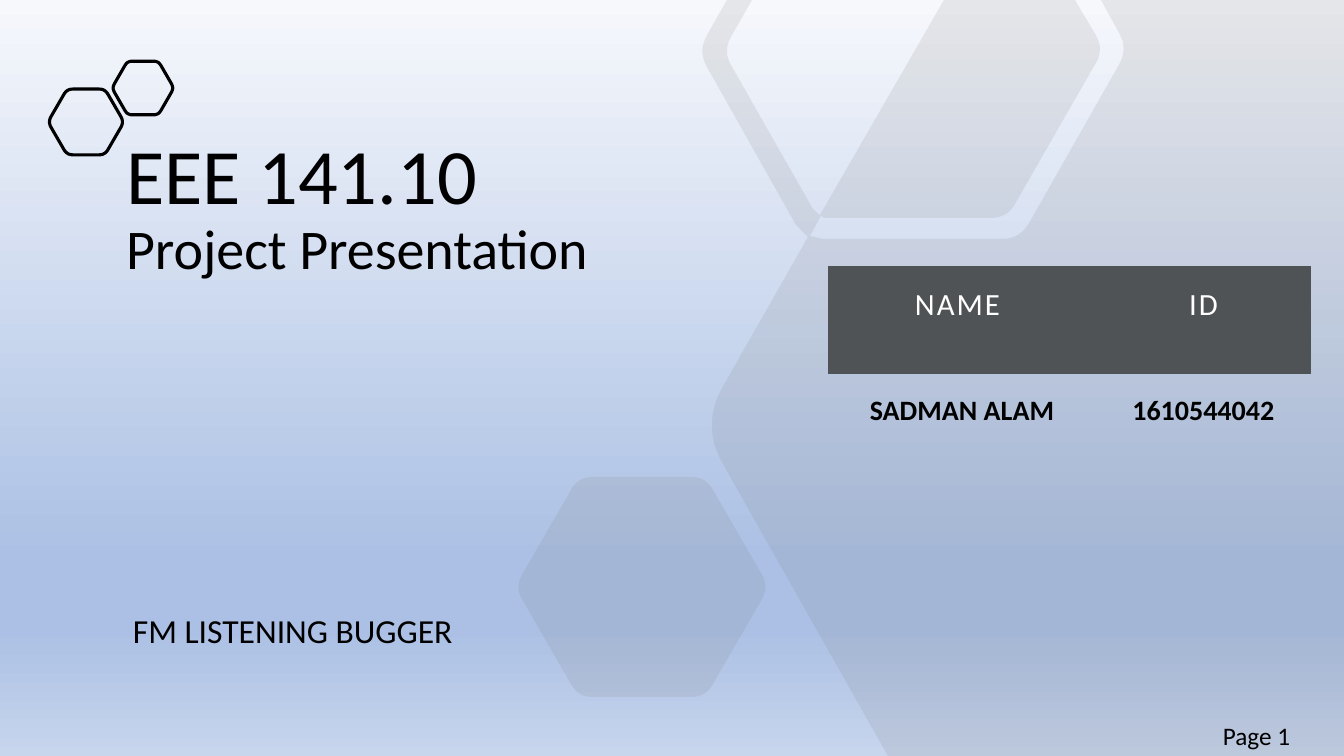
from dataclasses import dataclass
from math import cos, hypot, pi, sin

from lxml.etree import SubElement
from pptx import Presentation
from pptx.dml.color import RGBColor
from pptx.enum.text import MSO_ANCHOR, PP_ALIGN
from pptx.oxml.ns import qn
from pptx.util import Pt

EMU_PER_PX = 12192000 / 1344
SUBPIXELS = 10
PLAIN_TABLE = "{2D5ABB26-0587-4C30-8999-92F81FD0307C}"


@dataclass(frozen=True)
class Theme:
    font: str = "Calibri"
    ink: str = "000000"
    light: str = "FFFFFF"
    header: str = "505356"
    veil: str = "808080"
    veil_opacity: int = 15
    sky: tuple = ((0, "F6F8FC"), (74, "ABC0E4"), (83, "ABC0E4"), (100, "C7D5ED"))
    course: int = 56
    occasion: int = 40
    topic: int = 24
    heading: int = 22
    member: int = 20
    page: int = 18
    outline: float = 2.25


def px(length):
    return round(length * EMU_PER_PX)


def apply(target, **values):
    for name, value in values.items():
        setattr(target, name, value)


def toward(start, end, cut):
    share = cut / hypot(end[0] - start[0], end[1] - start[1])
    return tuple(a + (b - a) * share for a, b in zip(start, end))


def rounded(corners, steps=8):
    points = []
    for i, (x, y, cut) in enumerate(corners):
        corner = (x, y)
        if not cut:
            points.append(corner)
            continue
        before = toward(corner, corners[i - 1][:2], cut)
        after = toward(corner, corners[(i + 1) % len(corners)][:2], cut)
        for step in range(steps + 1):
            t = step / steps
            points.append(tuple(
                (1 - t) ** 2 * a + 2 * t * (1 - t) * b + t ** 2 * c
                for a, b, c in zip(before, corner, after)))
    return points


def hexagon(center_x, center_y, side, cut):
    return [(center_x + side * cos(k * pi / 3), center_y + side * sin(k * pi / 3), cut)
            for k in range(6)]


class SlideBuilder:
    def __init__(self, deck, theme):
        self.theme = theme
        self.slide = deck.slides.add_slide(deck.slide_layouts[5])

    def background(self):
        fill = self.slide.background.fill
        fill.gradient()
        fill.gradient_angle = 270
        stops = self.slide._element.find(".//" + qn("a:gsLst"))
        for stop in list(stops):
            stops.remove(stop)
        for position, color in self.theme.sky:
            stop = SubElement(stops, qn("a:gs"), pos=str(position * 1000))
            SubElement(stop, qn("a:srgbClr"), val=color)

    def outline(self, contours):
        builder = None
        for contour in contours:
            points = [(x * SUBPIXELS, y * SUBPIXELS) for x, y in rounded(contour)]
            if builder is None:
                builder = self.slide.shapes.build_freeform(
                    *points[0], scale=EMU_PER_PX / SUBPIXELS)
            else:
                builder.move_to(*points[0])
            builder.add_line_segments(points[1:], close=True)
        shape = builder.convert_to_shape()
        shape.shadow.inherit = False
        return shape

    def veil(self, contours):
        shape = self.outline(contours)
        shape.fill.solid()
        shape.fill.fore_color.rgb = RGBColor.from_string(self.theme.veil)
        shape.line.fill.background()
        color = shape._element.spPr.find(qn("a:solidFill")).find(qn("a:srgbClr"))
        SubElement(color, qn("a:alpha"), val=str(self.theme.veil_opacity * 1000))

    def ring(self, contour):
        shape = self.outline([contour])
        shape.fill.background()
        shape.line.width = Pt(self.theme.outline)
        shape.line.color.rgb = RGBColor.from_string(self.theme.ink)

    def run(self, paragraph, words, size, color=None, bold=False):
        run = paragraph.add_run()
        run.text = words
        apply(run.font, name=self.theme.font, size=Pt(size), bold=bold)
        run.font.color.rgb = RGBColor.from_string(color or self.theme.ink)
        return run

    def title(self, box, lines):
        title = self.slide.shapes.title
        apply(title, **dict(zip(("left", "top", "width", "height"), map(px, box))))
        apply(title.text_frame, vertical_anchor=MSO_ANCHOR.MIDDLE, word_wrap=True)
        paragraph = title.text_frame.paragraphs[0]
        apply(paragraph, alignment=PP_ALIGN.LEFT, line_spacing=0.9)
        for i, (words, size) in enumerate(lines):
            if i:
                paragraph.add_line_break()
            self.run(paragraph, words, size)

    def text(self, box, words, size):
        frame = self.slide.shapes.add_textbox(*map(px, box)).text_frame
        frame.word_wrap = True
        self.run(frame.paragraphs[0], words, size)

    def table(self, left, top, widths, heights, rows):
        frame = self.slide.shapes.add_table(
            len(rows), len(widths), px(left), px(top), px(sum(widths)), px(sum(heights)))
        table = frame.table
        frame._element.find(".//" + qn("a:tableStyleId")).text = PLAIN_TABLE
        apply(table, first_row=True, horz_banding=False)
        for column, width in zip(table.columns, widths):
            column.width = px(width)
        for row, height in zip(table.rows, heights):
            row.height = px(height)
        for r, row in enumerate(rows):
            for c, words in enumerate(row):
                self.cell(table.cell(r, c), words, heading=r == 0)

    def cell(self, cell, words, heading):
        sides = ("left", "top", "right", "bottom")
        apply(cell, **{f"margin_{side}": px(20) for side in sides})
        paragraph = cell.text_frame.paragraphs[0]
        paragraph.alignment = PP_ALIGN.CENTER
        if heading:
            cell.fill.solid()
            cell.fill.fore_color.rgb = RGBColor.from_string(self.theme.header)
            run = self.run(paragraph, words, self.theme.heading, self.theme.light)
            run._r.get_or_add_rPr().set("spc", "150")
        else:
            cell.fill.background()
            self.run(paragraph, words, self.theme.member, bold=True)


def main():
    theme = Theme()
    deck = Presentation()
    apply(deck, slide_width=px(1344), slide_height=px(756))
    cover = SlideBuilder(deck, theme)
    cover.background()

    overlap = [(944, 0, 0), (1075, 0, 0), (1104, 49, 16), (1007, 218, 16),
               (824, 218, 0), (820, 215, 0)]
    backdrop = [(727, 0, 0), (752, 0, 0), (723, 51, 16), (813, 209, 0),
                (821, 216, 0), (810, 236, 0), (823, 239, 0), (1020, 239, 18),
                (1128, 49, 18), (1101, 0, 0), (1344, 0, 0), (1344, 756, 0),
                (888, 756, 0), (701, 425, 44), (808, 237, 0), (796, 225, 0),
                (698, 51, 18)]
    cover.veil([hexagon(642, 587, 127, 14), overlap, backdrop])
    cover.title((116, 122, 712, 174), [("EEE 141.10 ", theme.course),
                                       ("Project Presentation", theme.occasion)])
    cover.text((123, 605, 714, 50), "FM LISTENING BUGGER", theme.topic)
    cover.ring(hexagon(86, 122, 38, 6))
    cover.ring(hexagon(143, 88, 31, 5))
    cover.table(828, 266, (268, 215), (108, 99),
                [("NAME ", "ID"), ("SADMAN ALAM", "1610544042")])
    cover.text((1213, 715, 89, 40), "Page 1", theme.page)
    deck.save("out.pptx")


if __name__ == "__main__":
    main()
